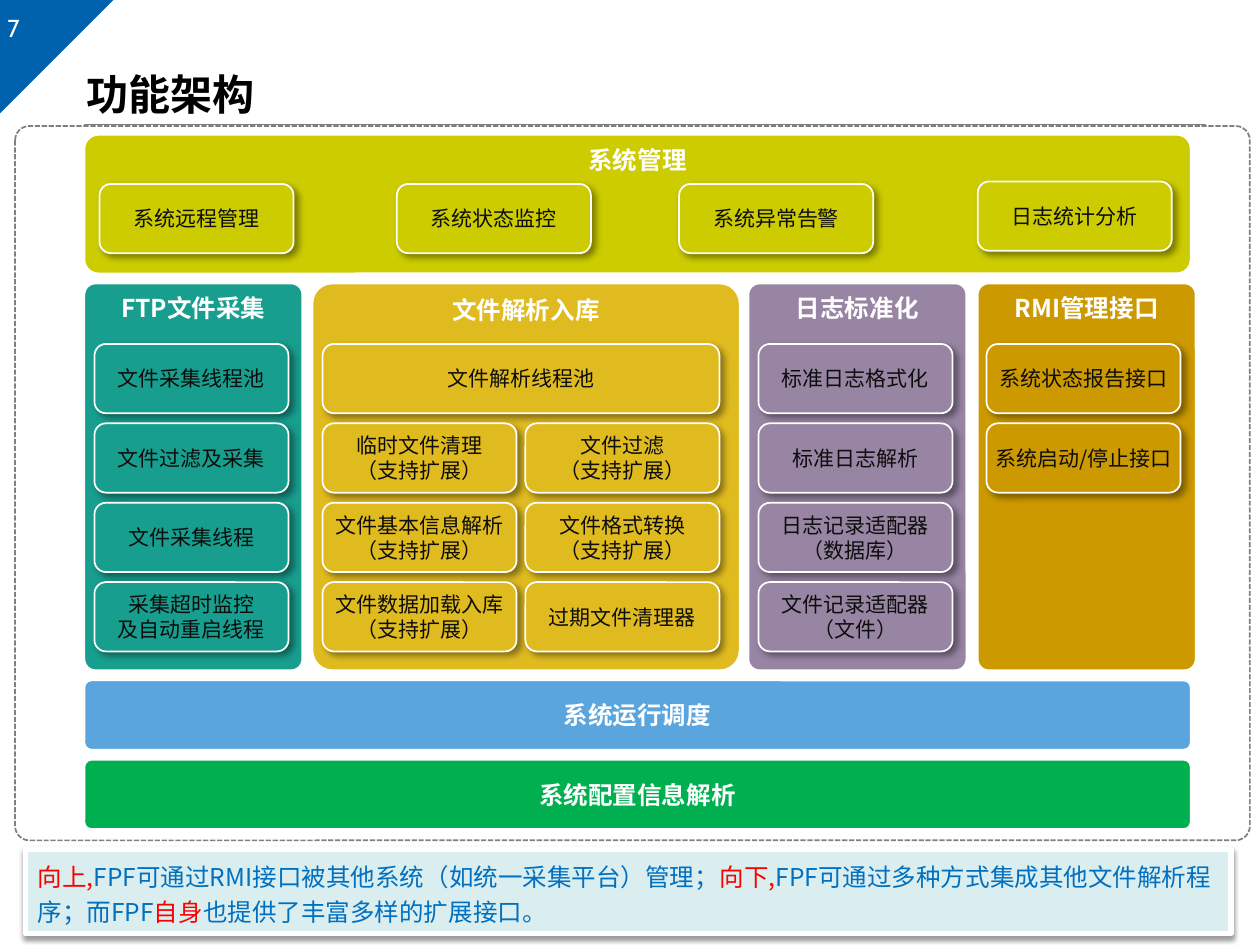
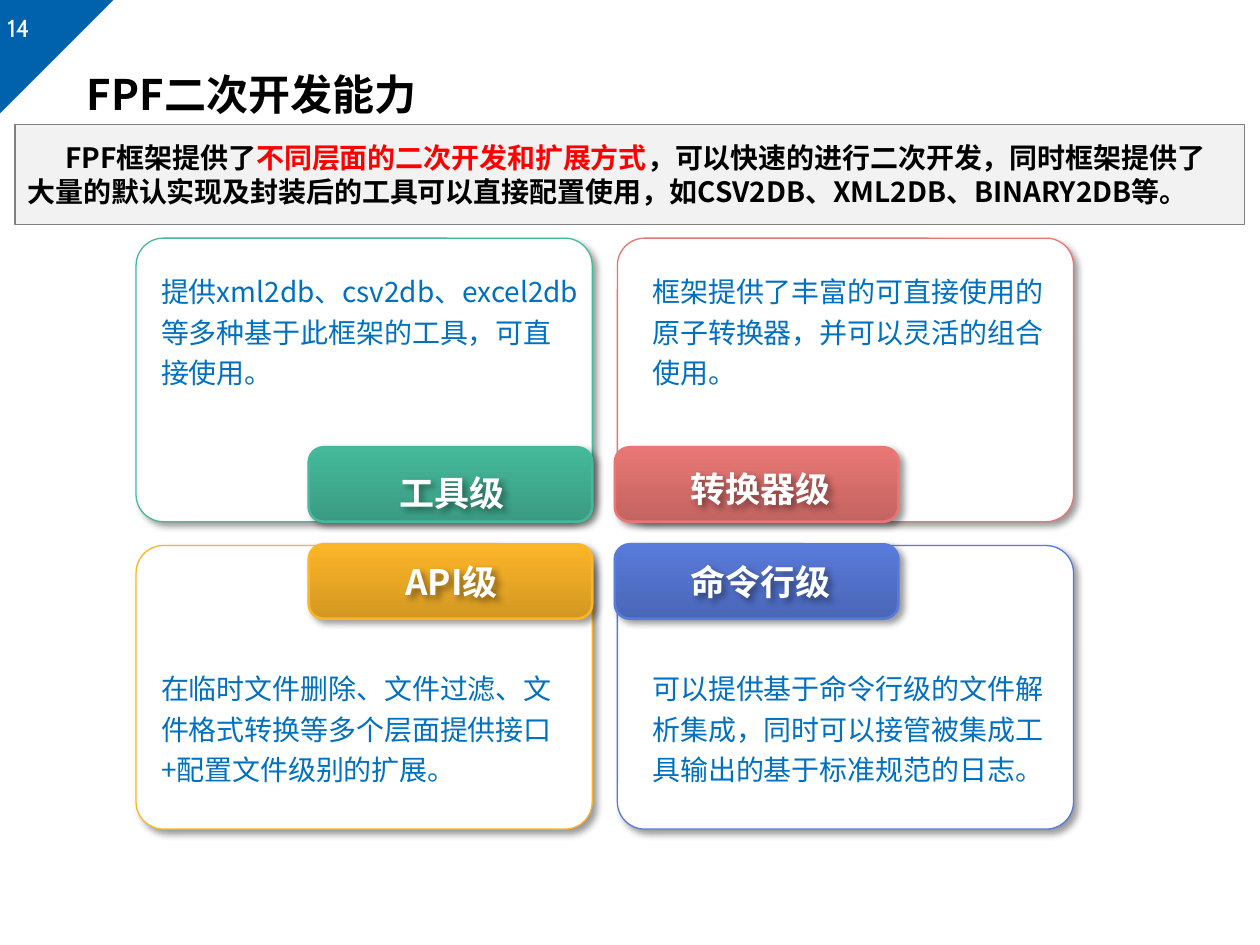
"""Build two slides on the FPF architecture and its extension levels."""
from lxml import etree
from pptx import Presentation
from pptx.dml.color import RGBColor
from pptx.enum.dml import MSO_LINE
from pptx.enum.shapes import MSO_CONNECTOR, MSO_SHAPE
from pptx.enum.text import MSO_ANCHOR, MSO_AUTO_SIZE, PP_ALIGN
from pptx.oxml.ns import qn
from pptx.util import Inches, Pt

ROUND = MSO_SHAPE.ROUNDED_RECTANGLE
RECT = MSO_SHAPE.RECTANGLE
TRI = MSO_SHAPE.RIGHT_TRIANGLE
STRAIGHT = MSO_CONNECTOR.STRAIGHT
DASH = MSO_LINE.SQUARE_DOT
TOP, MID = MSO_ANCHOR.TOP, MSO_ANCHOR.MIDDLE
LEFT, MIDDLE = PP_ALIGN.LEFT, PP_ALIGN.CENTER
FIXED = MSO_AUTO_SIZE.NONE

FONT = "Noto Sans CJK SC"
WHITE, BLACK, INK = "FFFFFF", "000000", "0D0D0D"
RED, BLUE, GRAY, NAVY = "FF0000", "0070C0", "808080", "0062AC"
LIME, TEAL, GOLD = "CCCC00", "189E8E", "E0BB20"
MAUVE, OCHRE = "9885A3", "CC9900"
SOFT = (40, 4, 3, 45)


def rgb(code):
    """Turn a hex string into a colour."""
    return RGBColor.from_string(code)


def box(slide, at, text="", kind=None, fill=None, line=None, wide=1, adj=None,
        shade=None, size=12, hue=INK, bold=False, align=MIDDLE, anchor=MID,
        wrap=False, gap=None, font=FONT):
    """Add a shape or text box; parts between bars in the text turn red."""
    spot = [Inches(n) for n in at]
    if kind is None:
        shape = slide.shapes.add_textbox(*spot)
    else:
        shape = slide.shapes.add_shape(kind, *spot)
        if adj is not None:
            shape.adjustments[0] = adj
        if fill:
            shape.fill.solid()
            shape.fill.fore_color.rgb = rgb(fill)
        else:
            shape.fill.background()
        if line:
            shape.line.color.rgb = rgb(line)
            shape.line.width = Pt(wide)
        else:
            shape.line.fill.background()
    shape.shadow.inherit = False
    if shade:
        alpha, blur, dist, turn = shade
        effects = shape._element.spPr.find(qn("a:effectLst"))
        outer = etree.SubElement(
            effects, qn("a:outerShdw"), blurRad=str(Pt(blur)), dist=str(Pt(dist)),
            dir=str(turn * 60000), algn="tl", rotWithShape="0")
        tint = etree.SubElement(outer, qn("a:srgbClr"), val=BLACK)
        etree.SubElement(tint, qn("a:alpha"), val=str(alpha * 1000))
    frame = shape.text_frame
    frame.word_wrap = wrap
    frame.vertical_anchor = anchor
    if not text:
        return shape
    frame.text = text.replace("|", "")
    for para, row in zip(frame.paragraphs, text.split("\n")):
        para.text = ""
        para.alignment = align
        if gap:
            para.line_spacing = gap
        for i, part in enumerate(row.split("|")):
            if part:
                run = para.add_run()
                run.text = part
                run.font.size, run.font.bold = Pt(size), bold
                run.font.name = font
                run.font.color.rgb = rgb(RED if i % 2 else hue)
                etree.SubElement(run.font._element, qn("a:ea"), typeface=font)
    return shape


prs = Presentation()
prs.slide_width, prs.slide_height = Inches(10), Inches(7.5)

slides = []
for num, head in (("7", "功能架构"), ("14", "FPF二次开发能力")):
    slide = prs.slides.add_slide(prs.slide_layouts[5])
    slides.append(slide)
    corner = box(slide, (0, 0, 0.9, 0.9), kind=TRI, fill=NAVY)
    corner.rotation = 90
    box(slide, (-0.04, 0.05, 2.33, 0.31), num, size=14, hue=WHITE,
        align=LEFT, anchor=TOP, wrap=True, font="Cabin")
    rule = slide.shapes.add_connector(
        STRAIGHT, Inches(0.67), Inches(0.99), Inches(9.57), Inches(0.99))
    rule.line.color.rgb = rgb(GRAY)
    rule.line.width = Pt(0.75)
    etree.SubElement(rule._element.spPr, qn("a:effectLst"))
    title = slide.shapes.title
    title.left, title.top = Inches(0.59), Inches(0.49)
    title.width, title.height = Inches(3.9), Inches(0.51)
    frame = title.text_frame
    frame.text = head
    frame.auto_size, frame.vertical_anchor = FIXED, MID
    para = frame.paragraphs[0]
    para.alignment = LEFT
    font = para.runs[0].font
    font.name, font.size, font.bold = FONT, Pt(24), True
    font.color.rgb = rgb(BLACK)
    etree.SubElement(font._element, qn("a:ea"), typeface=FONT)

arch, levels = slides

box(arch, (0.12, 1, 9.8, 5.67), kind=ROUND, line=GRAY, adj=0.02).line.dash_style = DASH

panel = dict(kind=ROUND, line=WHITE, size=14, hue=WHITE, bold=True)
for top, tall, fill, name, anchor in (
        (1.07, 1.1, LIME, "系统管理", TOP),
        (5.4, 0.55, "5AA5DE", "系统运行调度", MID),
        (6.03, 0.55, "00B050", "系统配置信息解析", MID)):
    box(arch, (0.67, top, 8.78, tall), name, fill=fill, adj=0.1, anchor=anchor, **panel)
for left, width, fill, name in (
        (0.67, 1.73, TEAL, "FTP文件采集"),
        (2.48, 3.39, GOLD, "文件解析入库"),
        (5.94, 1.73, MAUVE, "日志标准化"),
        (7.76, 1.73, OCHRE, "RMI管理接口")):
    box(arch, (left, 2.25, width, 3.07), name, fill=fill, adj=0.051, anchor=TOP, **panel)

cell = dict(kind=ROUND, line=WHITE, shade=SOFT)
for left, top, name in (
        (0.79, 1.46, "系统远程管理"),
        (3.15, 1.46, "系统状态监控"),
        (5.39, 1.46, "系统异常告警"),
        (7.76, 1.44, "日志统计分析")):
    box(arch, (left, top, 1.54, 0.55), name, fill=LIME, **cell)
box(arch, (2.56, 2.73, 3.15, 0.55), "文件解析线程池", fill=GOLD, **cell)
for left, first, fill, names in (
        (0.75, 0, TEAL, ("文件采集线程池", "文件过滤及采集", "文件采集线程",
                         "采集超时监控\n及自动重启线程")),
        (2.56, 1, GOLD, ("临时文件清理\n（支持扩展）", "文件基本信息解析\n（支持扩展）",
                         "文件数据加载入库\n（支持扩展）")),
        (4.17, 1, GOLD, ("文件过滤\n（支持扩展）", "文件格式转换\n（支持扩展）",
                         "过期文件清理器")),
        (6.02, 0, MAUVE, ("标准日志格式化", "标准日志解析", "日志记录适配器\n（数据库）",
                          "文件记录适配器\n（文件）")),
        (7.83, 0, OCHRE, ("系统状态报告接口", "系统启动/停止接口"))):
    for row, name in enumerate(names, first):
        box(arch, (left, 2.73 + 0.63 * row, 1.54, 0.55), name, fill=fill, **cell)

box(arch, (0.2, 6.74, 9.57, 0.67),
    "|向上,|FPF可通过RMI接口被其他系统（如统一采集平台）管理；|向下,|"
    "FPF可通过多种方式集成其他文件解析程序；而FPF|自身|也提供了丰富多样的扩展接口。",
    kind=RECT, fill="DAEDEF", line=WHITE, wide=3, shade=(38, 3.1, 1.6, 90),
    size=14, hue=BLUE, align=LEFT, wrap=True, gap=1.2)

intro = box(levels, (0.12, 0.99, 9.76, 0.79),
            "FPF框架提供了|不同层面的二次开发和扩展方式|，可以快速的进行二次开发，"
            "同时框架提供了大量的默认实现及封装后的工具可以直接配置使用，"
            "如CSV2DB、XML2DB、BINARY2DB等。",
            kind=RECT, fill="F2F2F2", line=GRAY, wide=0.75, size=16, hue=BLACK,
            bold=True, align=LEFT, wrap=True)
intro.text_frame.paragraphs[0]._p.get_or_add_pPr().set("indent", str(Inches(0.3)))

cards = (
    (0, 0, "45B99B", "3A9B82", 3.69, "工具级",
     "提供xml2db、csv2db、excel2db等多种基于此框架的工具，可直接使用。"),
    (1, 0, "E87774", "C36461", 3.66, "转换器级",
     "框架提供了丰富的可直接使用的原子转换器，并可以灵活的组合使用。"),
    (0, 1, "FCB528", "D39822", 4.4, "API级",
     "在临时文件删除、文件过滤、文件格式转换等多个层面提供接口+配置文件级别的扩展。"),
    (1, 1, "587ADA", "4A66B7", 4.4, "命令行级",
     "可以提供基于命令行级的文件解析集成，同时可以接管被集成工具输出的基于标准规范的日志。"))
for col, row, light, dark, top, name, text in cards:
    box(levels, (1.08 + 3.82 * col, 1.89 + 2.44 * row, 3.62, 2.25), kind=ROUND,
        fill=WHITE, line=light, wide=0.75, adj=0.096, shade=SOFT)
    tab = box(levels, (2.45 + 2.43 * col, 3.55 + 0.77 * row, 2.25, 0.59), kind=ROUND,
              fill=light, line=light, wide=1.5, adj=0.2, shade=SOFT)
    tab.fill.gradient()
    tab.fill.gradient_angle = 270
    for stop, code, place in zip(tab.fill.gradient_stops, (light, dark), (0, 1)):
        stop.color.rgb = rgb(code)
        stop.position = place
    box(levels, (2.57 + 2.45 * col, top, 2.03, 0.44), name, size=20, hue=WHITE,
        bold=True, anchor=TOP, wrap=True, shade=SOFT)
    box(levels, (1.18 + 3.9 * col, 2.08 + 3.15 * row, 3.52 - 0.08 * col - 0.1 * row, 1.04),
        text, size=16, hue=BLUE, align=LEFT, anchor=TOP, wrap=True, gap=1.2)

prs.save("out.pptx")
